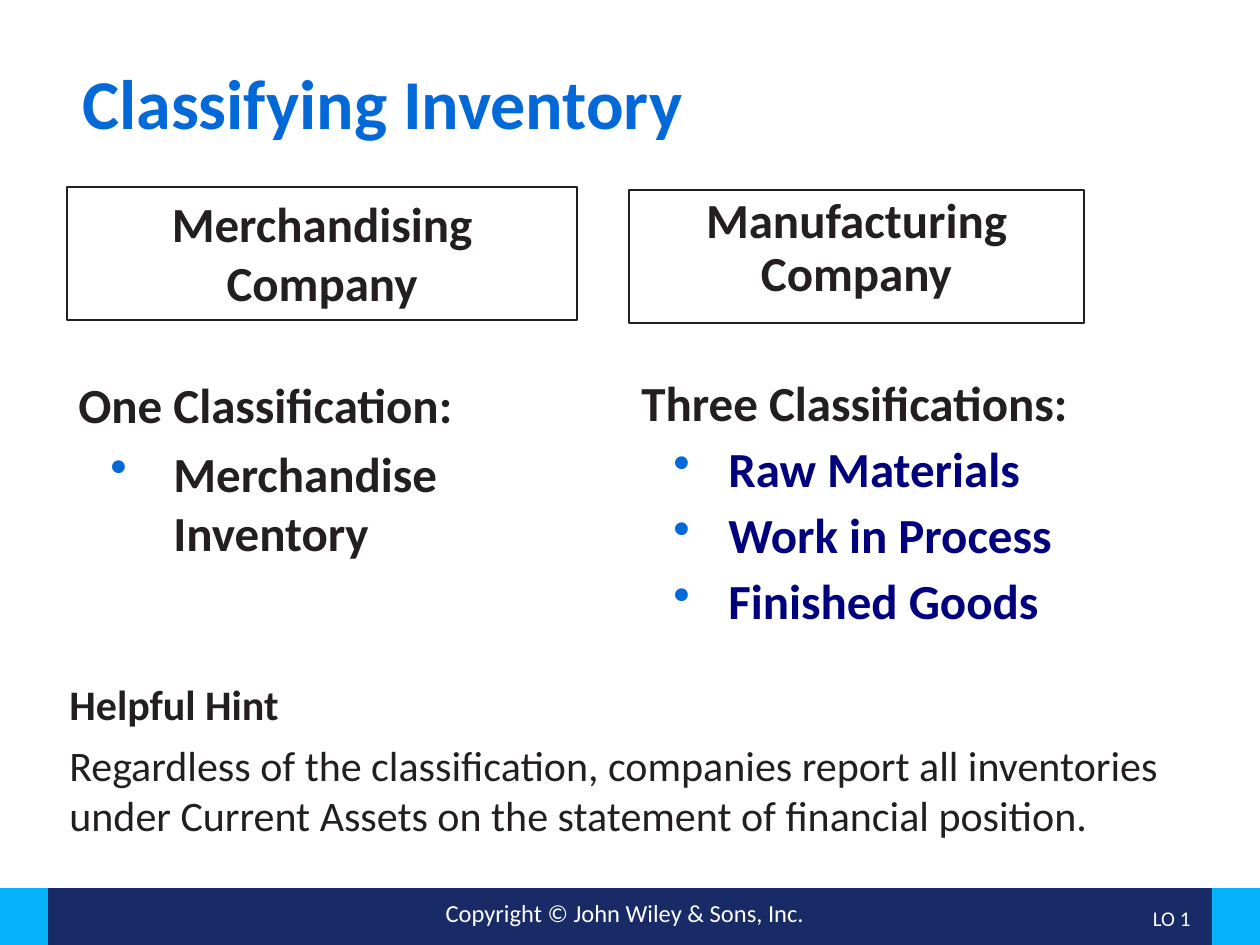
from lxml import etree
from pptx import Presentation
from pptx.dml.color import RGBColor
from pptx.enum.shapes import MSO_SHAPE
from pptx.enum.text import MSO_ANCHOR, PP_ALIGN
from pptx.oxml.ns import qn
from pptx.util import Pt

PX = 914400 // 126
SLIDE_W, SLIDE_H = 1260, 945
FONT = "Calibri"

INK = RGBColor(0x23, 0x1F, 0x20)
BLUE = RGBColor(0x04, 0x69, 0xD8)
DARK_BLUE = RGBColor(0x00, 0x00, 0x7F)
NAVY = RGBColor(0x19, 0x2B, 0x67)
CYAN = RGBColor(0x06, 0xB2, 0xFA)
WHITE = RGBColor(0xFF, 0xFF, 0xFF)


def emu(*lengths):
    return [length * PX for length in lengths]


def add_rectangle(slide, box, fill=None, line=None):
    rectangle = slide.shapes.add_shape(MSO_SHAPE.RECTANGLE, *emu(*box))
    rectangle.shadow.inherit = False
    if fill is None:
        rectangle.fill.background()
    else:
        rectangle.fill.solid()
        rectangle.fill.fore_color.rgb = fill
    if line is None:
        rectangle.line.fill.background()
    else:
        rectangle.line.color.rgb = line
        rectangle.line.width = Pt(1.5)
    return rectangle


def add_bullet(paragraph, indent, hanging):
    properties = paragraph._p.get_or_add_pPr()
    properties.set("marL", str(indent * PX))
    properties.set("indent", str(-hanging * PX))
    colour = etree.SubElement(properties, qn("a:buClr"))
    etree.SubElement(colour, qn("a:srgbClr"), val=str(BLUE))
    etree.SubElement(properties, qn("a:buChar"), char="•")


def write(frame, text, size=28, color=INK, bold=True, align=PP_ALIGN.LEFT,
          spacing=1.0, before=0, bullet=None):
    """Add one paragraph, using the empty first one if it is still free."""
    first = frame.paragraphs[0]
    paragraph = frame.add_paragraph() if first.runs else first
    paragraph.alignment = align
    paragraph.line_spacing = spacing
    paragraph.space_before = Pt(before)
    if bullet:
        add_bullet(paragraph, *bullet)
    run = paragraph.add_run()
    run.text = text
    run.font.name = FONT
    run.font.size = Pt(size)
    run.font.bold = bold
    run.font.color.rgb = color


def add_text_frame(slide, box, anchor=MSO_ANCHOR.TOP):
    frame = slide.shapes.add_textbox(*emu(*box)).text_frame
    frame.word_wrap = True
    frame.vertical_anchor = anchor
    return frame


def add_company_box(slide, box, text, spacing=1.0):
    frame = add_rectangle(slide, box, line=INK).text_frame
    frame.word_wrap = True
    frame.vertical_anchor = MSO_ANCHOR.TOP
    write(frame, text, align=PP_ALIGN.CENTER, spacing=spacing)


def add_classifications(slide, box, heading, items, color, bullet, before, spacing=1.0):
    frame = add_text_frame(slide, box)
    write(frame, heading, spacing=spacing)
    for item in items:
        write(frame, item, color=color, spacing=spacing, before=before, bullet=bullet)


def add_footer(slide):
    top, side = 888, 48
    height = SLIDE_H - top
    add_rectangle(slide, (side, top, SLIDE_W - 2 * side, height), fill=NAVY)
    for left in (0, SLIDE_W - side):
        add_rectangle(slide, (left, top, side, height), fill=CYAN)
    credit = add_text_frame(slide, (315, 892, 620, 43))
    write(credit, "Copyright © John Wiley & Sons, Inc.", size=14, color=WHITE,
          bold=False, align=PP_ALIGN.CENTER)
    objective = add_text_frame(slide, (1100, 895, 103, 50), MSO_ANCHOR.MIDDLE)
    write(objective, "LO 1", size=12, color=WHITE, bold=False,
          align=PP_ALIGN.RIGHT, spacing=0.9)


def main():
    presentation = Presentation()
    presentation.slide_width, presentation.slide_height = emu(SLIDE_W, SLIDE_H)
    slide = presentation.slides.add_slide(presentation.slide_layouts[6])

    add_footer(slide)
    title = add_text_frame(slide, (70, 63, 1119, 117))
    write(title, "Classifying Inventory", size=40, color=BLUE, spacing=0.9)

    add_company_box(slide, (67, 187, 510, 133), "Merchandising Company")
    add_classifications(slide, (66, 368, 461, 228), "One Classification:",
                        ["Merchandise Inventory"], INK, bullet=(95, 63), before=6.2)

    add_company_box(slide, (629, 190, 455, 133), "Manufacturing Company", spacing=0.9)
    add_classifications(slide, (629, 373, 455, 273), "Three Classifications:",
                        ["Raw Materials", "Work in Process", "Finished Goods"],
                        DARK_BLUE, bullet=(87, 55), before=7.5, spacing=0.9)

    hint = add_text_frame(slide, (57, 672, 1119, 193))
    write(hint, "Helpful Hint", size=24)
    write(hint, "Regardless of the classification, companies report all inventories "
          "under Current Assets on the statement of financial position.",
          size=24, bold=False, before=6.2)

    presentation.save("out.pptx")


if __name__ == "__main__":
    main()
